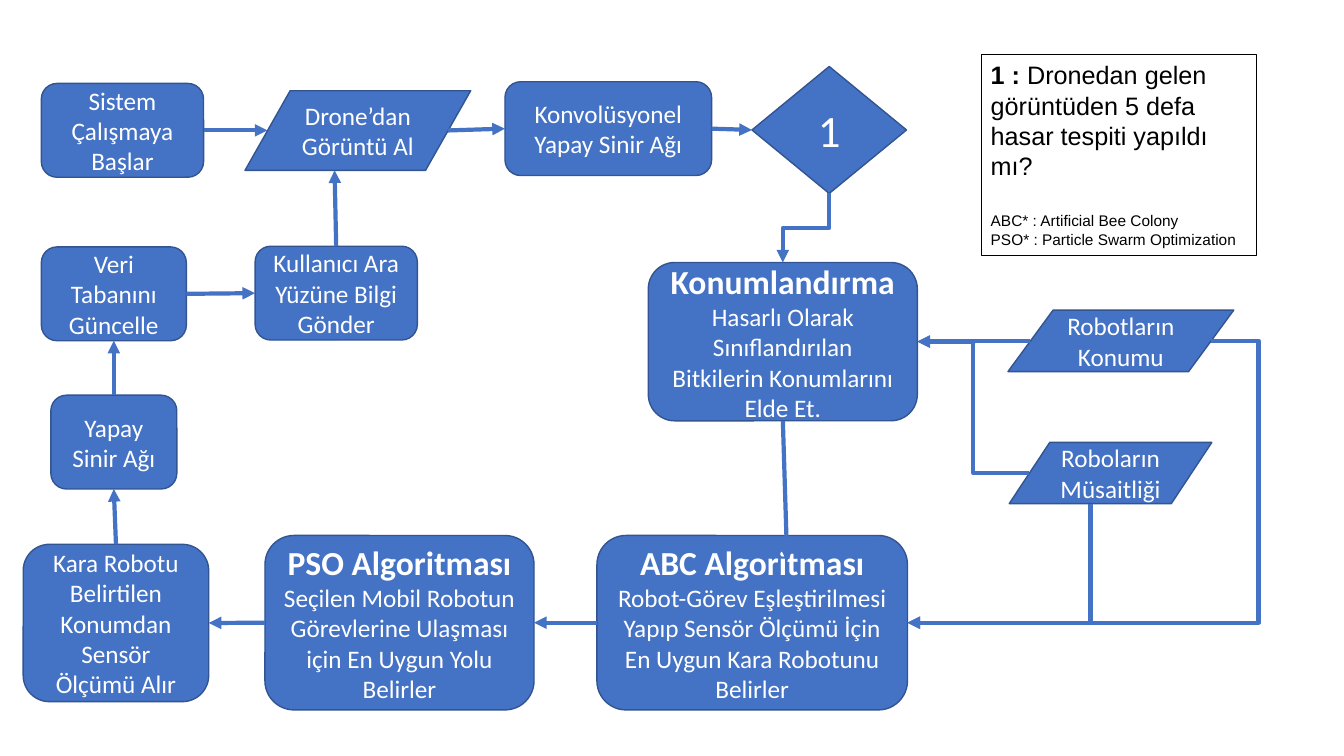
from dataclasses import dataclass
from typing import NamedTuple

from lxml import etree
from pptx import Presentation
from pptx.dml.color import RGBColor
from pptx.enum.shapes import MSO_CONNECTOR, MSO_SHAPE
from pptx.enum.text import MSO_ANCHOR, PP_ALIGN
from pptx.oxml.ns import qn
from pptx.util import Pt

ROUNDED = MSO_SHAPE.ROUNDED_RECTANGLE
DECISION = MSO_SHAPE.FLOWCHART_DECISION
DATA = MSO_SHAPE.FLOWCHART_DATA
RECTANGLE = MSO_SHAPE.RECTANGLE
STRAIGHT = MSO_CONNECTOR.STRAIGHT
ELBOW = MSO_CONNECTOR.ELBOW
CENTER = PP_ALIGN.CENTER
LEFT_ALIGN = PP_ALIGN.LEFT
MIDDLE = MSO_ANCHOR.MIDDLE
ANCHOR_TOP = MSO_ANCHOR.TOP

TOP, LEFT, BOTTOM, RIGHT = range(4)
BLUE, DARK_BLUE, WHITE, BLACK = "4472C4", "325491", "FFFFFF", "000000"
BODY_SIZE, HEADING_SIZE = 18, 24


@dataclass(frozen=True)
class Step:
    name: str
    left: float
    top: float
    width: float
    height: float
    text: str
    heading: str = ""
    kind: MSO_SHAPE = ROUNDED
    size: float = BODY_SIZE


class Point(NamedTuple):
    x: float
    y: float


class Port(NamedTuple):
    step: str
    side: int


@dataclass(frozen=True)
class Arrow:
    start: Point | Port
    end: Point | Port


@dataclass(frozen=True)
class Bend:
    start: Point
    end: Point
    downward: bool = False
    preset: str = "bentConnector3"
    adjust: int | None = None


STEPS = [
    Step("sensor", 16.6, 388.8, 132.5, 112.4, "Kara Robotu Belirtilen Konumdan Sensör Ölçümü Alır"),
    Step("convolution", 360.7, 58.4, 147.6, 67, "Konvolüsyonel Yapay Sinir Ağı"),
    Step("decision", 537.1, 47.5, 110.4, 90.7, "1", kind=DECISION, size=32),
    Step("drone", 175, 64.8, 161.2, 56.9, "Drone’dan Görüntü Al", kind=DATA),
    Step("user", 182.2, 175.9, 115.9, 67, "Kullanıcı Ara Yüzüne Bilgi Gönder"),
    Step("system", 29.5, 59.6, 115.9, 67, "Sistem Çalışmaya Başlar"),
    Step("database", 29.5, 176.4, 103.6, 67, "Veri Tabanını Güncelle"),
    Step("network", 36.3, 282.3, 90, 67, "Yapay Sinir Ağı"),
    Step("pso", 189.3, 382.5, 192.2, 124.6,
         "Seçilen Mobil Robotun Görevlerine Ulaşması için En Uygun Yolu Belirler", "PSO Algoritması"),
    Step("abc", 426.4, 382.5, 221.8, 124.6,
         "Robot-Görev Eşleştirilmesi Yapıp Sensör Ölçümü İçin En Uygun Kara Robotunu Belirler",
         "ABC Algoritması"),
    Step("positioning", 463.1, 187.5, 192.2, 113.1,
         "Hasarlı Olarak Sınıflandırılan Bitkilerin Konumlarını Elde Et.", "Konumlandırma"),
    Step("availability", 720.9, 316, 144.7, 43.7, "Roboların\nMüsaitliği", kind=DATA),
    Step("location", 720, 221.5, 161.3, 43.9, "Robotların\nKonumu", kind=DATA),
]

ARROWS = [
    Arrow(Port("system", RIGHT), Point(191, 93.1)),
    Arrow(Point(320, 93.2), Port("convolution", LEFT)),
    Arrow(Port("convolution", RIGHT), Port("decision", LEFT)),
    Arrow(Port("abc", LEFT), Port("pso", RIGHT)),
    Arrow(Port("pso", LEFT), Port("sensor", RIGHT)),
    Arrow(Port("network", TOP), Port("database", BOTTOM)),
    Arrow(Port("sensor", TOP), Port("network", BOTTOM)),
    Arrow(Port("positioning", BOTTOM), Point(562.3, 401)),
    Arrow(Port("database", RIGHT), Port("user", LEFT)),
    Arrow(Port("user", TOP), Point(239, 121.7)),
]

POSITIONING_INPUT = Point(655.3, 244)
ABC_INPUT = Point(648.2, 444.8)
BENDS = [
    Bend(Point(592.3, 138.2), Point(559.2, 187.5), downward=True),
    Bend(Point(736, 243.5), POSITIONING_INPUT),
    Bend(Point(735.3, 337.8), POSITIONING_INPUT),
    Bend(Point(778.9, 359.7), ABC_INPUT, downward=True, preset="bentConnector2"),
    Bend(Point(865, 243.5), ABC_INPUT, adjust=-15700),
]


def color(value: str) -> RGBColor:
    return RGBColor.from_string(value)


def style_paragraph(para, size: float, font: str, tint: str, align, bold: bool = False) -> None:
    para.alignment = align
    for span in para.runs:
        span.font.size = Pt(size)
        span.font.name = font
        span.font.bold = bold
        span.font.color.rgb = color(tint)


def draw_step(page, step: Step):
    box = page.shapes.add_shape(
        step.kind, Pt(step.left), Pt(step.top), Pt(step.width), Pt(step.height))
    box.shadow.inherit = False
    box.fill.solid()
    box.fill.fore_color.rgb = color(BLUE)
    box.line.color.rgb = color(DARK_BLUE)
    box.line.width = Pt(1)
    frame = box.text_frame
    frame.word_wrap = True
    frame.vertical_anchor = MIDDLE
    frame.text = f"{step.heading}\n{step.text}" if step.heading else step.text
    for index, para in enumerate(frame.paragraphs):
        is_heading = bool(step.heading) and index == 0
        size = HEADING_SIZE if is_heading else step.size
        style_paragraph(para, size, "Calibri", WHITE, CENTER, is_heading)
    return box


def add_arrow(page, kind, start: Point, end: Point):
    link = page.shapes.add_connector(kind, Pt(start.x), Pt(start.y), Pt(end.x), Pt(end.y))
    link.line.color.rgb = color(BLUE)
    link.line.width = Pt(3)
    outline = link.line._get_or_add_ln()
    etree.SubElement(outline, qn("a:tailEnd"), type="triangle")
    etree.SubElement(link._element.spPr, qn("a:effectLst"))
    return link


def locate(place: Point | Port, steps: dict[str, Step]) -> Point:
    if isinstance(place, Point):
        return place
    step = steps[place.step]
    across, down = {TOP: (0.5, 0), LEFT: (0, 0.5), BOTTOM: (0.5, 1), RIGHT: (1, 0.5)}[place.side]
    return Point(step.left + across * step.width, step.top + down * step.height)


def draw_arrow(page, arrow: Arrow, steps: dict[str, Step], boxes: dict) -> None:
    link = add_arrow(page, STRAIGHT, locate(arrow.start, steps), locate(arrow.end, steps))
    if isinstance(arrow.start, Port):
        link.begin_connect(boxes[arrow.start.step], arrow.start.side)
    if isinstance(arrow.end, Port):
        link.end_connect(boxes[arrow.end.step], arrow.end.side)


def draw_bend(page, bend: Bend) -> None:
    start, end = bend.start, bend.end
    if bend.downward:
        middle = Point((start.x + end.x) / 2, (start.y + end.y) / 2)
        half_width, half_height = (end.y - start.y) / 2, (start.x - end.x) / 2
        start = Point(middle.x - half_width, middle.y - half_height)
        end = Point(middle.x + half_width, middle.y + half_height)
    link = add_arrow(page, ELBOW, start, end)
    properties = link._element.spPr
    if bend.downward:
        properties.find(qn("a:xfrm")).set("rot", "5400000")
    geometry = properties.find(qn("a:prstGeom"))
    geometry.set("prst", bend.preset)
    if bend.adjust is not None:
        guides = geometry.find(qn("a:avLst"))
        etree.SubElement(guides, qn("a:gd"), name="adj1", fmla=f"val {bend.adjust}")


def draw_legend(page) -> None:
    box = page.shapes.add_shape(RECTANGLE, Pt(700.6), Pt(39), Pt(196.6), Pt(143))
    box.shadow.inherit = False
    box.fill.background()
    box.line.color.rgb = color(BLACK)
    box.line.width = Pt(0.25)
    frame = box.text_frame
    frame.word_wrap = True
    frame.vertical_anchor = ANCHOR_TOP
    frame.text = "1 : \nABC* : Artificial Bee Colony\nPSO* : Particle Swarm Optimization"
    question, bee, swarm = frame.paragraphs
    question.add_run().text = "Dronedan gelen görüntüden 5 defa hasar tespiti yapıldı mı?"
    for para, size in ((question, 18), (bee, 11), (swarm, 11)):
        style_paragraph(para, size, "Arial", BLACK, LEFT_ALIGN)
    question.runs[0].font.bold = True
    bee.space_before = Pt(22)


def main() -> None:
    deck = Presentation()
    deck.slide_width, deck.slide_height = Pt(960), Pt(540)
    page = deck.slides.add_slide(deck.slide_layouts[6])
    steps = {step.name: step for step in STEPS}
    boxes = {step.name: draw_step(page, step) for step in STEPS}
    for arrow in ARROWS:
        draw_arrow(page, arrow, steps, boxes)
    for bend in BENDS:
        draw_bend(page, bend)
    draw_legend(page)
    deck.save("out.pptx")


if __name__ == "__main__":
    main()
